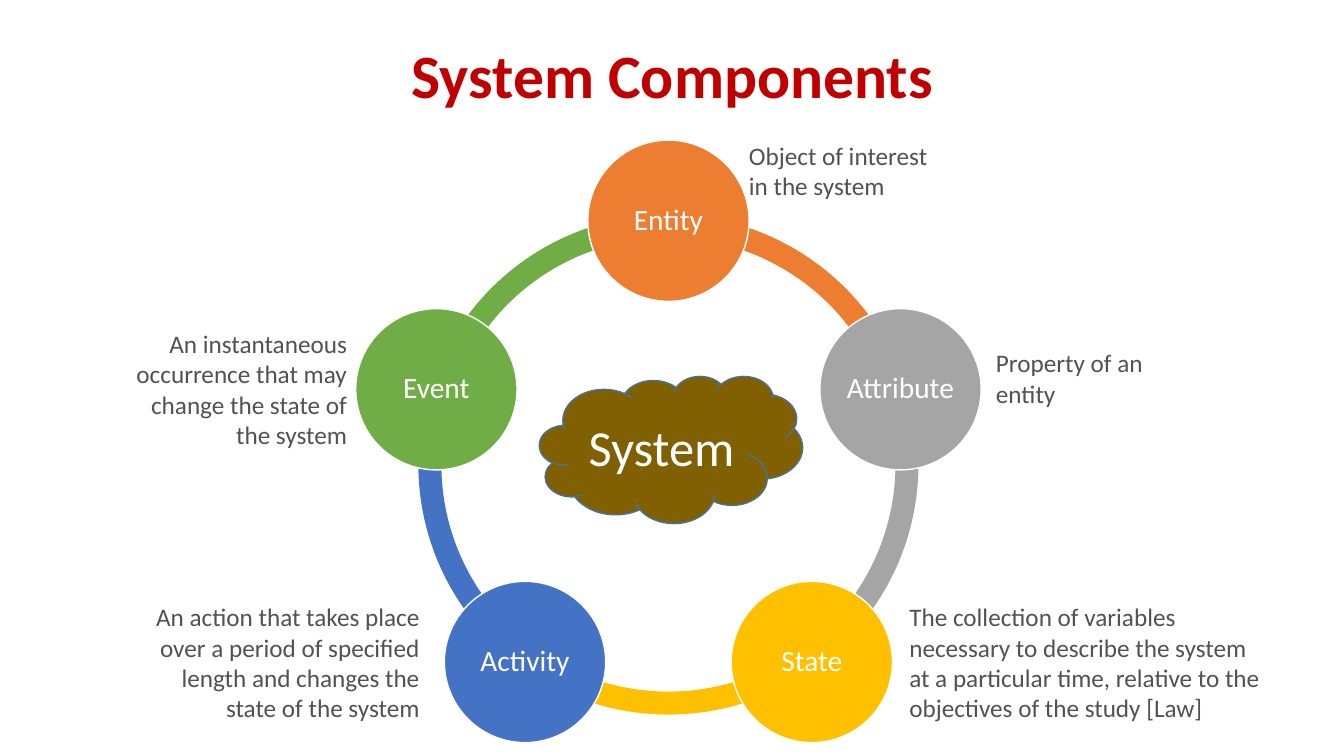
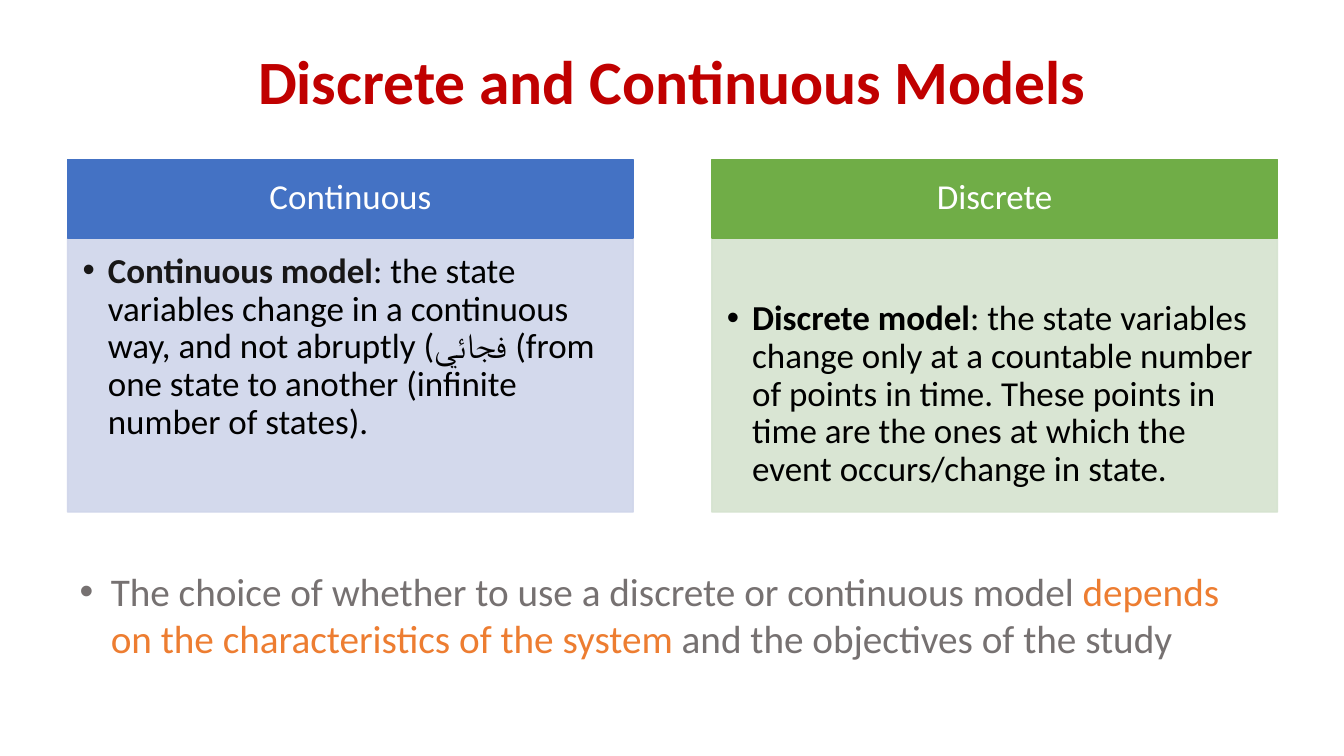
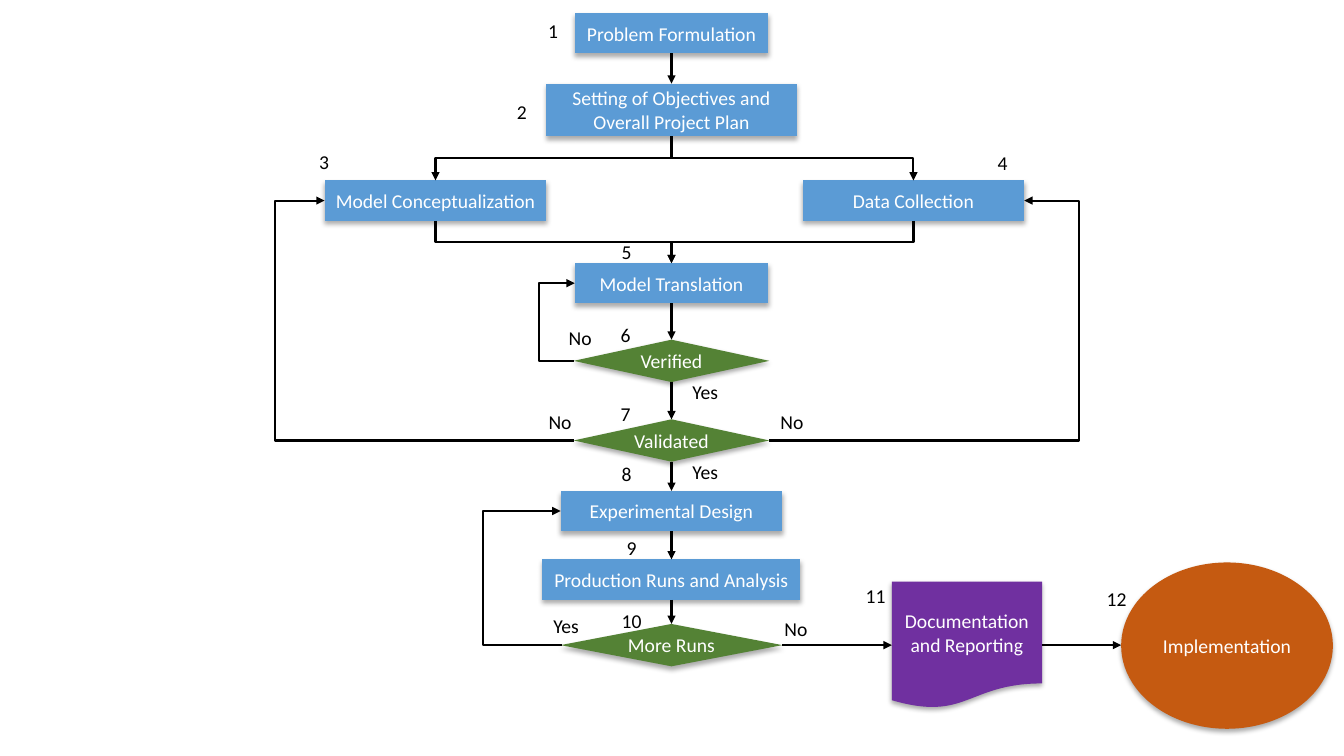
from dataclasses import dataclass
from math import cos, radians, sin
from typing import Any, NamedTuple

from lxml.etree import SubElement
from pptx import Presentation
from pptx.dml.color import RGBColor
from pptx.enum.shapes import MSO_CONNECTOR as Wire, MSO_SHAPE as Kind
from pptx.enum.text import MSO_ANCHOR as Anchor, PP_ALIGN as Align
from pptx.oxml.ns import qn
from pptx.util import Inches, Pt

FONT = "Calibri"
HUES = {
    "title": "C00000", "white": "FFFFFF", "black": "000000",
    "ink": "181717", "note": "525252", "grey": "767171",
    "orange": "ED7D31", "silver": "A5A5A5", "gold": "FFC000",
    "blue": "4472C4", "green": "70AD47",
    "cloud": "806000", "edge": "43739E",
    "pale blue": "CFD5EA", "pale green": "D5E3CF",
    "step": "5B9BD5", "test": "548235", "paper": "7030A0", "goal": "C55A11",
}


class Run(NamedTuple):
    text: str
    hue: str
    bold: bool = False


@dataclass
class Node:
    name: str
    hue: str
    note: str
    left: float
    top: float
    width: float
    align: Any = Align.LEFT


@dataclass
class Panel:
    name: str
    hue: str
    pale: str
    runs: list[Run]
    inset: float


@dataclass
class Box:
    text: str
    mid: float
    top: float
    width: float
    height: float = 0.4
    kind: Any = Kind.FLOWCHART_PROCESS
    hue: str = "step"

    @property
    def left(self) -> float:
        return self.mid - self.width / 2

    @property
    def right(self) -> float:
        return self.mid + self.width / 2

    @property
    def base(self) -> float:
        return self.top + self.height

    @property
    def level(self) -> float:
        return self.top + self.height / 2


class Label(NamedTuple):
    text: str
    left: float
    top: float


# Shared helpers
def color(hue: str) -> RGBColor:
    return RGBColor.from_string(HUES[hue])


def write(shape: Any, text: str | list[Run], *, size: float, hue: str = "black",
          bold: bool = False, align: Any = Align.LEFT, anchor: Any = Anchor.TOP,
          inset: tuple = (0.1, 0.05, 0.1, 0.05), space: float = 1,
          indent: float = 0) -> None:
    frame = shape.text_frame
    frame.word_wrap = True
    frame.vertical_anchor = anchor
    (frame.margin_left, frame.margin_top,
     frame.margin_right, frame.margin_bottom) = map(Inches, inset)
    para = frame.paragraphs[0]
    para.alignment, para.line_spacing = align, space
    if indent:
        props = para._p.get_or_add_pPr()
        props.set("marL", str(Inches(indent)))
        props.set("indent", str(Inches(-indent)))
        SubElement(props, qn("a:buFont")).set("typeface", "Arial")
        SubElement(props, qn("a:buChar")).set("char", "•")
    for part in [Run(text, hue, bold)] if isinstance(text, str) else text:
        run = para.add_run()
        run.text = part.text
        run.font.name, run.font.size, run.font.bold = FONT, Pt(size), part.bold
        run.font.color.rgb = color(part.hue)


def place(slide: Any, text: str | list[Run], left: float, top: float,
          width: float, height: float, **form: Any) -> None:
    area = slide.shapes.add_textbox(*map(Inches, (left, top, width, height)))
    write(area, text, **form)


def draw(slide: Any, kind: Any, left: float, top: float, width: float,
         height: float, fill: str, line: str = "") -> Any:
    shape = slide.shapes.add_shape(kind, *map(Inches, (left, top, width, height)))
    shape.shadow.inherit = False
    shape.fill.solid()
    shape.fill.fore_color.rgb = color(fill)
    if line:
        shape.line.color.rgb = color(line)
        shape.line.width = Pt(1)
    else:
        shape.line.fill.background()
    return shape


def fade(shape: Any, share: int) -> None:
    for tint in shape.element.spPr.iter(qn("a:srgbClr")):
        SubElement(tint, qn("a:alpha")).set("val", str(share * 1000))


def shade(shape: Any) -> None:
    effect = shape.element.spPr.find(qn("a:effectLst"))
    drop = SubElement(effect, qn("a:outerShdw"), blurRad=str(Pt(3.5)),
                      dist=str(Pt(2.2)), dir="5400000", algn="t", rotWithShape="0")
    tint = SubElement(drop, qn("a:srgbClr"), val=HUES["black"])
    SubElement(tint, qn("a:alpha")).set("val", "32000")


def title(slide: Any, text: str, top: float, height: float) -> None:
    place(slide, text, 0.92, top, 11.5, height, size=44, hue="title", bold=True,
          align=Align.CENTER, anchor=Anchor.MIDDLE, space=0.9)


# Arrows
def arrow(slide: Any, kind: Any, x1: float, y1: float, x2: float, y2: float) -> Any:
    link = slide.shapes.add_connector(kind, *map(Inches, (x1, y1, x2, y2)))
    link.line.color.rgb = color("black")
    link.line.width = Pt(1.5)
    SubElement(link.line._get_or_add_ln(), qn("a:tailEnd")).set("type", "triangle")
    SubElement(link.element.spPr, qn("a:effectLst"))
    return link


def fork(slide: Any, x1: float, y1: float, x2: float, y2: float) -> None:
    """Down, across and down again: an elbow turned by a quarter."""
    mid, level = (x1 + x2) / 2, (y1 + y2) / 2
    reach, half = (y2 - y1) / 2, abs(x2 - x1) / 2
    turn = 90
    if x2 > x1:
        reach, turn = -reach, 270
    link = arrow(slide, Wire.ELBOW, mid - reach, level - half,
                 mid + reach, level + half)
    link.element.spPr.find(qn("a:xfrm")).set("rot", str(turn * 60000))


def loop(slide: Any, x1: float, y1: float, x2: float, y2: float, lane: float) -> None:
    """Out to a lane, up it and back in."""
    link = arrow(slide, Wire.ELBOW, x1, y1, x2, y2)
    ratio = round((lane - x1) / (x2 - x1) * 100000)
    guides = link.element.spPr.find(qn("a:prstGeom")).get_or_add_avLst()
    SubElement(guides, qn("a:gd"), name="adj1", fmla=f"val {ratio}")


# Slide 1: ring of components
NODES = [
    Node("Entity", "orange", "Object of interest in the system", 7.33, 1.34, 2.03),
    Node("Attribute", "silver", "Property of an entity", 9.78, 3.4, 2.03),
    Node("State", "gold", "The collection of variables necessary to describe the "
         "system at a particular time, relative to the objectives of the study [Law]",
         8.92, 5.92, 3.75),
    Node("Activity", "blue", "An action that takes place over a period of specified "
         "length and changes the state of the system", 1.42, 5.92, 2.84, Align.RIGHT),
    Node("Event", "green", "An instantaneous occurrence that may change the state "
         "of the system", 1.12, 3.21, 2.42, Align.RIGHT),
]


def ring(slide: Any) -> None:
    mid, level, reach, size, span = 6.63, 4.61, 2.42, 1.6, 4.96
    step = 360 / len(NODES)
    turns = [(270 + step * i) % 360 for i in range(len(NODES))]
    for node, turn in zip(NODES, turns):
        arc = draw(slide, Kind.BLOCK_ARC, mid - span / 2, level - span / 2,
                   span, span, node.hue)
        # Angles count in 60000ths, adjustments in 100000ths
        for i, angle in enumerate((turn, (turn + step) % 360)):
            arc.adjustments[i] = angle * 0.6
        arc.adjustments[2] = 0.046
    for node, turn in zip(NODES, turns):
        disc = draw(slide, Kind.OVAL, mid + reach * cos(radians(turn)) - size / 2,
                    level + reach * sin(radians(turn)) - size / 2,
                    size, size, node.hue, "white")
        write(disc, node.name, size=21, hue="white", align=Align.CENTER,
              anchor=Anchor.MIDDLE, inset=(0.03,) * 4, space=0.9)
    title(slide, "System Components", 0.3, 0.96)
    cloud = draw(slide, Kind.CLOUD, 5.35, 3.73, 2.61, 1.46, "cloud", "edge")
    write(cloud, "System", size=36, hue="white", align=Align.CENTER,
          anchor=Anchor.MIDDLE)
    for node in NODES:
        place(slide, node.note, node.left, node.top, node.width, 0.71,
              size=18, hue="note", align=node.align)


# Slide 2: two panels
PANELS = [
    Panel("Continuous", "blue", "pale blue", [
        Run("Continuous model", "ink", True),
        Run(": the state variables change in a continuous way, and not abruptly "
            "(فجائي (from one state to another (infinite number of states).", "black"),
    ], 0.15),
    Panel("Discrete", "green", "pale green", [
        Run("Discrete model", "black", True),
        Run(": the state variables change only at a countable number of points in "
            "time. These points in time are the ones at which the event "
            "occurs/change in state.", "black"),
    ], 0.62),
]


def models(slide: Any) -> None:
    title(slide, "Discrete and Continuous Models", 0.4, 0.87)
    width = 5.61
    for i, panel in enumerate(PANELS):
        left = 0.67 + 6.39 * i
        body = draw(slide, Kind.RECTANGLE, left, 2.36, width, 2.72,
                    panel.pale, panel.pale)
        fade(body, 90)
        write(body, panel.runs, size=25, inset=(0.15, panel.inset, 0.19, 0.22),
              space=0.9, indent=0.25)
        head = draw(slide, Kind.RECTANGLE, left, 1.58, width, 0.78,
                    panel.hue, panel.hue)
        write(head, panel.name, size=25, hue="white", align=Align.CENTER,
              anchor=Anchor.MIDDLE, inset=(0.19, 0.11, 0.19, 0.11), space=0.9)
    place(slide, [
        Run("The choice of whether to use a discrete or continuous model ", "grey"),
        Run("depends on the characteristics of the system ", "orange"),
        Run("and the objectives of the study", "grey"),
    ], 0.69, 5.58, 11.95, 1.04, size=28, indent=0.31)


# Slide 3: flow of a study
MID = 6.66
TEST = {"height": 0.42, "kind": Kind.FLOWCHART_DECISION, "hue": "test"}
BOXES = {
    "frame": Box("Problem Formulation", MID, 0.13, 1.92),
    "plan": Box("Setting of Objectives and Overall Project Plan", MID, 0.83, 2.48, 0.52),
    "concept": Box("Model Conceptualization", 4.32, 1.79, 2.2),
    "data": Box("Data Collection", 9.06, 1.79, 2.2),
    "model": Box("Model Translation", MID, 2.61, 1.92),
    "verify": Box("Verified", MID, 3.37, 1.94, **TEST),
    "valid": Box("Validated", MID, 4.16, 1.94, **TEST),
    "design": Box("Experimental Design", MID, 4.87, 2.2),
    "runs": Box("Production Runs and Analysis", MID, 5.55, 2.56),
    "more": Box("More Runs", MID, 6.19, 2.2, **TEST),
    "report": Box("Documentation and Reporting", 9.59, 5.77, 1.49, 1.26,
                  Kind.FLOWCHART_DOCUMENT, "paper"),
    "goal": Box("Implementation", 12.17, 5.58, 2.1, 1.65,
                Kind.FLOWCHART_CONNECTOR, "goal"),
}
CHAINS = [("frame", "plan"), ("model", "verify", "valid", "design", "runs", "more")]
LABELS = [
    Label("Yes", 6.76, 3.72), Label("Yes", 6.76, 4.51), Label("Yes", 5.38, 6.04),
    Label("No", 5.52, 3.18), Label("No", 7.62, 4.02), Label("No", 5.32, 4.02),
    Label("No", 7.66, 6.07),
    Label("1", 5.25, 0.14), Label("2", 4.94, 0.94), Label("3", 2.98, 1.44),
    Label("4", 9.71, 1.45), Label("5", 5.98, 2.33), Label("6", 5.97, 3.15),
    Label("7", 5.97, 3.94), Label("8", 5.98, 4.53), Label("9", 6.03, 5.27),
    Label("10", 6.03, 5.99), Label("11", 8.45, 5.74), Label("12", 10.84, 5.77),
]


def flow(slide: Any) -> None:
    drawn = {}
    for key, box in BOXES.items():
        shape = draw(slide, box.kind, box.left, box.top, box.width, box.height, box.hue)
        shade(shape)
        write(shape, box.text, size=14, hue="white", align=Align.CENTER,
              anchor=Anchor.MIDDLE, inset=(0.05,) * 4)
        drawn[key] = shape

    # Straight arrows
    for chain in CHAINS:
        for start, end in zip(chain, chain[1:]):
            a, b = BOXES[start], BOXES[end]
            link = arrow(slide, Wire.STRAIGHT, a.mid, a.base, b.mid, b.top)
            link.begin_connect(drawn[start], 2)
            link.end_connect(drawn[end], 0)
    more, report, goal = BOXES["more"], BOXES["report"], BOXES["goal"]
    link = arrow(slide, Wire.STRAIGHT, more.right, more.level, report.left, more.level)
    link.begin_connect(drawn["more"], 3)
    link.end_connect(drawn["report"], 1)
    link = arrow(slide, Wire.STRAIGHT, report.right, more.level, goal.left, more.level)
    link.begin_connect(drawn["report"], 3)

    # Forks and joins
    plan, model = BOXES["plan"], BOXES["model"]
    for key in ("concept", "data"):
        box = BOXES[key]
        fork(slide, plan.mid, plan.base, box.mid, box.top)
        fork(slide, box.mid, box.base, model.mid, model.top)

    # Loops back
    verify, valid, design = (BOXES[key] for key in ("verify", "valid", "design"))
    concept, data = BOXES["concept"], BOXES["data"]
    loop(slide, verify.left, verify.level, model.left, model.level, 5.34)
    loop(slide, valid.left, valid.level, concept.left, concept.level, 2.73)
    loop(slide, valid.right, valid.level, data.right, data.level, 10.7)
    loop(slide, more.left + 0.01, more.level, design.left, design.level, 4.78)

    for label in LABELS:
        place(slide, label.text, label.left, label.top, 0.47, 0.34, size=14,
              align=Align.CENTER, inset=(0, 0.05, 0, 0.05))


def main() -> None:
    deck = Presentation()
    deck.slide_width, deck.slide_height = Inches(13.33), Inches(7.5)
    for build in (ring, models, flow):
        build(deck.slides.add_slide(deck.slide_layouts[6]))
    deck.save("out.pptx")


if __name__ == "__main__":
    main()
